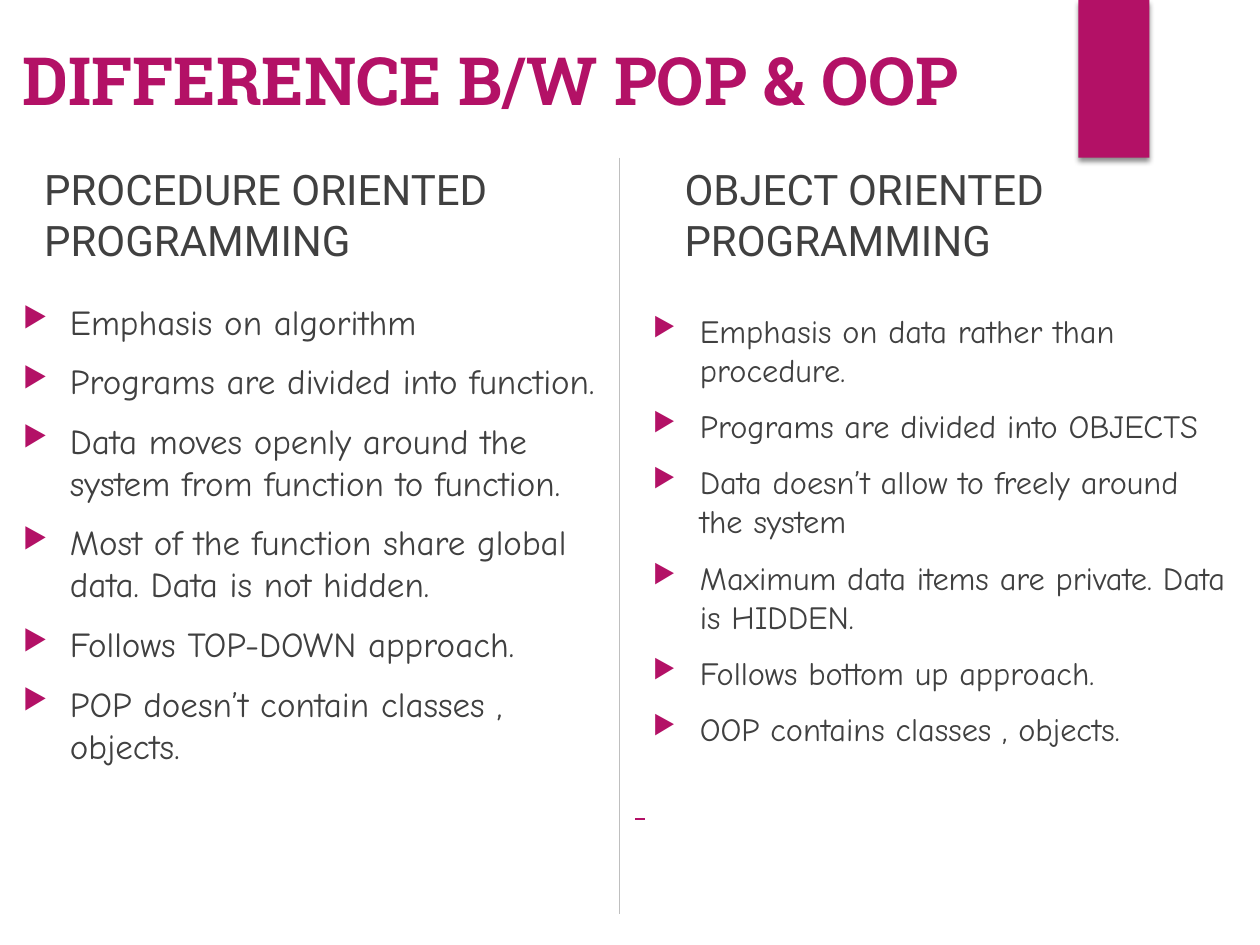
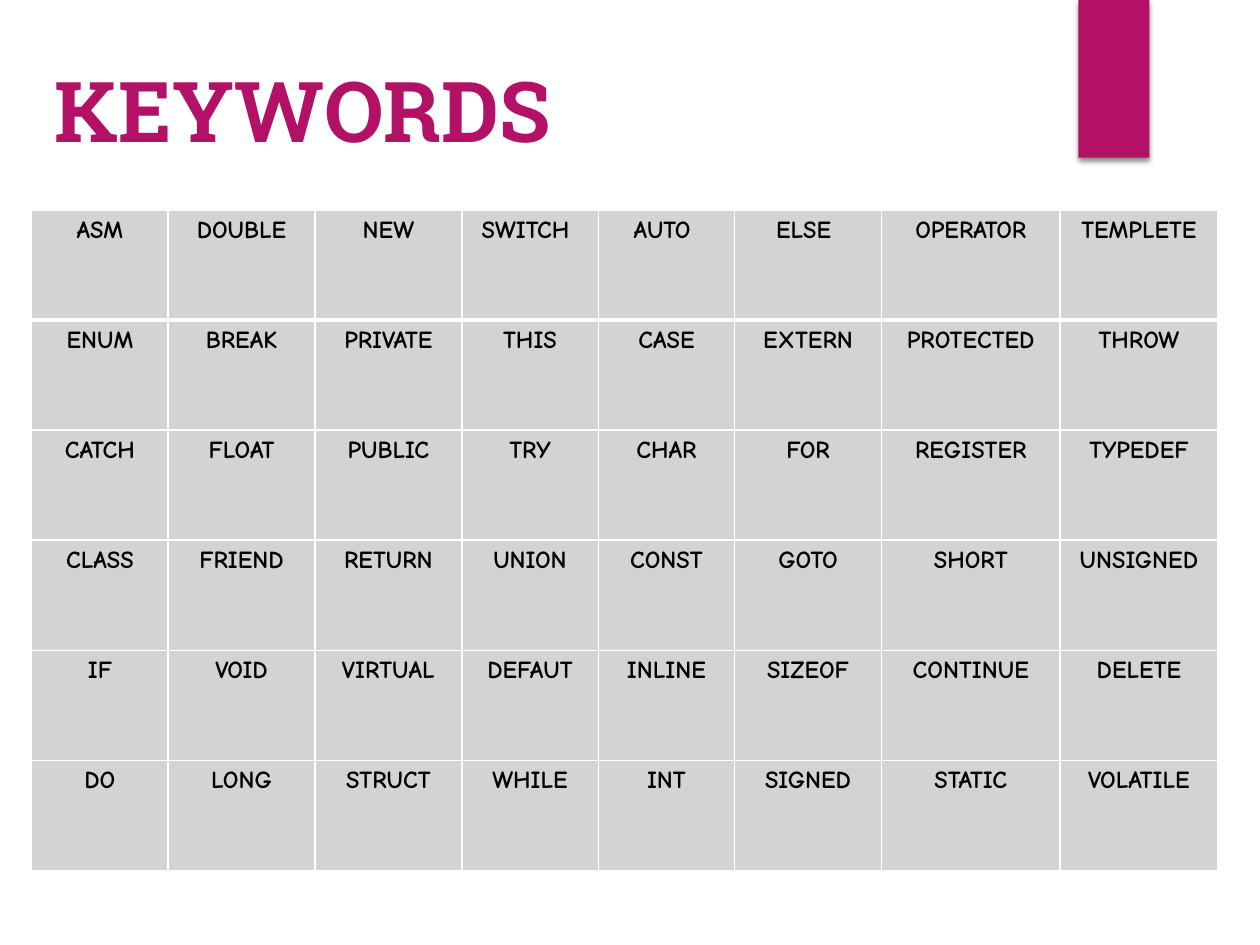
from dataclasses import dataclass

import lxml.etree
import pptx
import pptx.dml.color
import pptx.enum.shapes
import pptx.enum.text
import pptx.oxml
import pptx.oxml.ns
import pptx.presentation
import pptx.shapes.base
import pptx.slide
import pptx.table
import pptx.text.text
import pptx.util
from pptx.util import Cm

ACCENT = "B31166"
BODY_COLOR = "404040"
DIVIDER_COLOR = "BFBFBF"
CELL_COLOR = "D3D3D3"
BORDER_COLOR = "FFFFFF"
TABLE_TEXT_COLOR = "000000"

TITLE_FONT = "Roboto Slab"
HEADING_FONT = "Roboto"
BODY_FONT = "Comic Neue"

NAMESPACE = 'xmlns:a="http://schemas.openxmlformats.org/drawingml/2006/main"'
TOP = pptx.enum.text.MSO_ANCHOR.TOP
MIDDLE = pptx.enum.text.MSO_ANCHOR.MIDDLE


@dataclass(frozen=True)
class Box:
    left: float
    top: float
    width: float
    height: float

    def lengths(self) -> tuple[Cm, Cm, Cm, Cm]:
        return Cm(self.left), Cm(self.top), Cm(self.width), Cm(self.height)


@dataclass(frozen=True)
class TextStyle:
    font: str
    size: float
    color: str
    bold: bool = False


@dataclass(frozen=True)
class ComparisonColumn:
    heading: str
    heading_box: Box
    points: tuple[str, ...]
    points_box: Box
    points_size: float


@dataclass(frozen=True)
class Rule:
    start: tuple[float, float]
    end: tuple[float, float]
    color: str


HEADING_STYLE = TextStyle(HEADING_FONT, 24, BODY_COLOR)
KEYWORD_STYLE = TextStyle(BODY_FONT, 14, TABLE_TEXT_COLOR, True)

COLUMNS = (
    ComparisonColumn(
        "PROCEDURE ORIENTED PROGRAMMING",
        Box(0.64, 3.18, 15.66, 1.69),
        (
            "Emphasis on algorithm",
            "Programs are divided into function.",
            "Data moves openly around the system from function to function.",
            "Most of the function share global data. Data is not hidden.",
            "Follows TOP-DOWN approach.",
            "POP doesn’t contain classes , objects.",
        ),
        Box(0.21, 5.93, 12.28, 9.31),
        20,
    ),
    ComparisonColumn(
        "OBJECT ORIENTED PROGRAMMING",
        Box(13.55, 3.18, 11.85, 1.59),
        (
            "Emphasis on data rather than procedure.",
            "Programs are divided into OBJECTS",
            "Data doesn’t allow to freely around the system",
            "Maximum data items are private. Data is HIDDEN.",
            "Follows bottom up approach.",
            "OOP contains classes , objects.",
        ),
        Box(12.91, 6.14, 12.07, 9.74),
        18.5,
    ),
)

RULES = (
    Rule((13.0, 16.51), (12.8, 16.51), ACCENT),
    Rule((12.49, 3.18), (12.49, 18.42), DIVIDER_COLOR),
)

KEYWORDS = (
    ("ASM", "DOUBLE", "NEW", "SWITCH ", "AUTO ", "ELSE ", "OPERATOR", "TEMPLETE"),
    ("ENUM", "BREAK", "PRIVATE", "THIS", "CASE", "EXTERN", "PROTECTED", "THROW"),
    ("CATCH", "FLOAT", "PUBLIC", "TRY", "CHAR", "FOR", "REGISTER", "TYPEDEF"),
    ("CLASS", "FRIEND", "RETURN", "UNION", "CONST", "GOTO", "SHORT", "UNSIGNED"),
    ("IF", "VOID", "VIRTUAL", "DEFAUT", "INLINE", "SIZEOF", "CONTINUE", "DELETE"),
    ("DO", "LONG", "STRUCT", "WHILE", "INT", "SIGNED", "STATIC", "VOLATILE"),
)
KEYWORD_WIDTHS = (2.75, 2.96, 2.96, 2.75, 2.75, 2.96, 3.6, 3.18)
KEYWORD_ROW_HEIGHT = 2.22


def rgb(color: str) -> pptx.dml.color.RGBColor:
    return pptx.dml.color.RGBColor.from_string(color)


def append_xml(parent: lxml.etree.ElementBase, tag: str, content: str = "", attributes: str = "") -> None:
    parent.append(pptx.oxml.parse_xml(f"<a:{tag} {NAMESPACE} {attributes}>{content}</a:{tag}>"))


def style_paragraph(paragraph: pptx.text.text._Paragraph, style: TextStyle) -> None:
    font = paragraph.font
    font.name = style.font
    font.size = pptx.util.Pt(style.size)
    font.bold = style.bold
    font.color.rgb = rgb(style.color)


def add_bullet(paragraph: pptx.text.text._Paragraph) -> None:
    properties = paragraph._p.get_or_add_pPr()
    properties.set("marL", str(Cm(0.95)))
    properties.set("indent", str(-Cm(0.95)))
    append_xml(properties, "buClr", f'<a:srgbClr val="{ACCENT}"/>')
    append_xml(properties, "buSzPct", attributes='val="80000"')
    append_xml(properties, "buChar", attributes='char="▶"')


def add_text(
    slide: pptx.slide.Slide,
    box: Box,
    lines: tuple[str, ...],
    style: TextStyle,
    anchor: pptx.enum.text.MSO_ANCHOR = TOP,
    bulleted: bool = False,
) -> None:
    frame = slide.shapes.add_textbox(*box.lengths()).text_frame
    frame.word_wrap = True
    frame.vertical_anchor = anchor
    for index, line in enumerate(lines):
        paragraph = frame.add_paragraph() if index else frame.paragraphs[0]
        paragraph.text = line
        if index:
            paragraph.space_before = pptx.util.Pt(10)
        if bulleted:
            add_bullet(paragraph)
        style_paragraph(paragraph, style)


def add_title(
    slide: pptx.slide.Slide, text: str, box: Box, size: float, anchor: pptx.enum.text.MSO_ANCHOR = TOP
) -> None:
    add_text(slide, box, (text,), TextStyle(TITLE_FONT, size, ACCENT, True), anchor)


def add_ribbon_slide(presentation: pptx.presentation.Presentation) -> pptx.slide.Slide:
    slide = presentation.slides.add_slide(presentation.slide_layouts[6])
    ribbon = slide.shapes.add_shape(
        pptx.enum.shapes.MSO_SHAPE.RECTANGLE, *Box(21.74, 0, 1.43, 3.18).lengths()
    )
    ribbon.fill.solid()
    ribbon.fill.fore_color.rgb = rgb(ACCENT)
    ribbon.line.fill.background()
    shadow = (
        f'<a:outerShdw blurRad="{pptx.util.Pt(3)}" dist="{pptx.util.Pt(2)}" dir="5400000" rotWithShape="0">'
        '<a:srgbClr val="000000"><a:alpha val="45000"/></a:srgbClr></a:outerShdw>'
    )
    append_xml(ribbon._element.spPr, "effectLst", shadow)
    return slide


def add_rule(slide: pptx.slide.Slide, rule: Rule) -> None:
    connector = slide.shapes.add_connector(
        pptx.enum.shapes.MSO_CONNECTOR.STRAIGHT, *map(Cm, rule.start + rule.end)
    )
    connector.line.color.rgb = rgb(rule.color)
    connector.line.width = pptx.util.Pt(0.75)
    append_xml(connector._element.spPr, "effectLst")


def style_cell(cell: pptx.table._Cell, row: int) -> None:
    widths = {"lnL": 1, "lnR": 1, "lnT": 3 if row == 1 else 1, "lnB": 3 if row == 0 else 1}
    properties = cell._tc.get_or_add_tcPr()
    for side, width in widths.items():
        append_xml(
            properties,
            side,
            f'<a:solidFill><a:srgbClr val="{BORDER_COLOR}"/></a:solidFill>',
            f'w="{pptx.util.Pt(width)}"',
        )
    cell.fill.solid()
    cell.fill.fore_color.rgb = rgb(CELL_COLOR)


def add_keyword_table(slide: pptx.slide.Slide) -> None:
    box = Box(0.64, 4.23, sum(KEYWORD_WIDTHS), KEYWORD_ROW_HEIGHT * len(KEYWORDS))
    table = slide.shapes.add_table(len(KEYWORDS), len(KEYWORD_WIDTHS), *box.lengths()).table
    for column, width in zip(table.columns, KEYWORD_WIDTHS):
        column.width = Cm(width)
    for row, words in enumerate(KEYWORDS):
        table.rows[row].height = Cm(KEYWORD_ROW_HEIGHT)
        for column, word in enumerate(words):
            cell = table.cell(row, column)
            style_cell(cell, row)
            paragraph = cell.text_frame.paragraphs[0]
            paragraph.text = word
            paragraph.alignment = pptx.enum.text.PP_ALIGN.CENTER
            style_paragraph(paragraph, KEYWORD_STYLE)


def build_comparison_slide(presentation: pptx.presentation.Presentation) -> None:
    slide = add_ribbon_slide(presentation)
    add_title(slide, "DIFFERENCE B/W POP & OOP", Box(0.21, 0, 24.98, 3.18), 38, MIDDLE)
    for column in COLUMNS:
        add_text(slide, column.heading_box, (column.heading,), HEADING_STYLE)
        points_style = TextStyle(BODY_FONT, column.points_size, BODY_COLOR)
        add_text(slide, column.points_box, column.points, points_style, bulleted=True)
    for rule in RULES:
        add_rule(slide, rule)


def build_keywords_slide(presentation: pptx.presentation.Presentation) -> None:
    slide = add_ribbon_slide(presentation)
    add_title(slide, "KEYWORDS", Box(0.85, 1.06, 16.3, 2.31), 48)
    add_keyword_table(slide)


def main() -> None:
    presentation = pptx.Presentation()
    presentation.slide_width = Cm(25.4)
    presentation.slide_height = Cm(19.05)
    build_comparison_slide(presentation)
    build_keywords_slide(presentation)
    presentation.save("out.pptx")


if __name__ == "__main__":
    main()
